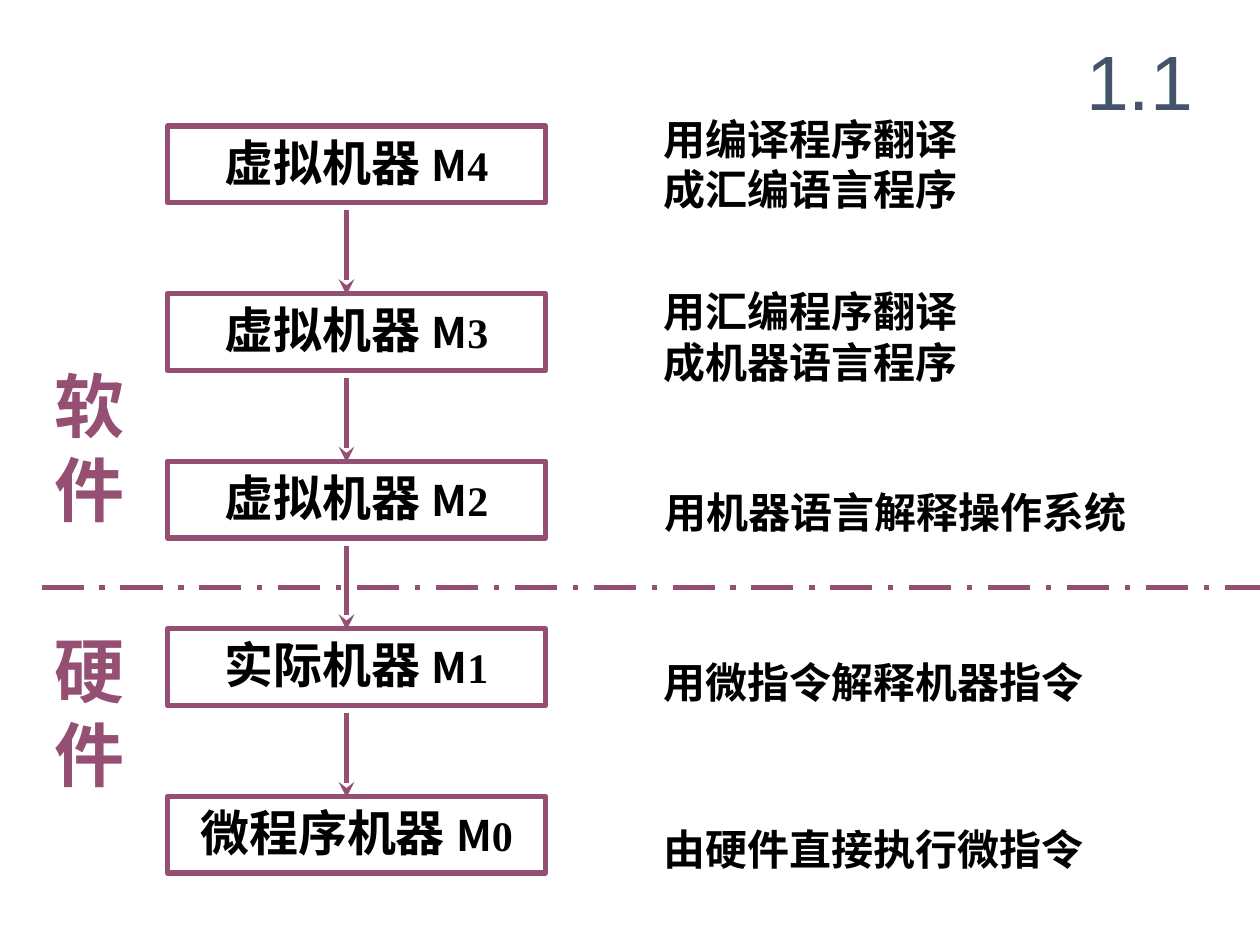
from lxml import etree
from pptx import Presentation
from pptx.dml.color import RGBColor
from pptx.enum.dml import MSO_LINE
from pptx.enum.shapes import MSO_CONNECTOR, MSO_SHAPE
from pptx.enum.text import MSO_ANCHOR, PP_ALIGN
from pptx.oxml.ns import qn
from pptx.util import Inches, Pt

RECTANGLE = MSO_SHAPE.RECTANGLE
STRAIGHT = MSO_CONNECTOR.STRAIGHT
DASH_DOT = MSO_LINE.LONG_DASH_DOT
CENTER = PP_ALIGN.CENTER
TOP = MSO_ANCHOR.TOP
MIDDLE = MSO_ANCHOR.MIDDLE

CHINESE = "Noto Sans CJK SC"
PLUM = "954F72"
BLACK = "000000"
SLATE = "44546A"

ROW_TOP = 1
ROW_STEP = 1.33
LEVEL_LEFT = 1.33
ARROW_X = 2.75
NOTE_LEFT = 5.16
SIDE_LEFT = 0.33

LEVELS = ["虚拟机器", "虚拟机器", "虚拟机器", "实际机器", "微程序机器"]
NOTES = [
    ("用编译程序翻译\n成汇编语言程序", 0.85, 2.55, 0.98),
    ("用汇编程序翻译\n成机器语言程序", 2.22, 2.55, 0.98),
    ("用机器语言解释操作系统", 3.81, 3.89, 0.5),
    ("用微指令解释机器指令", 5.16, 3.55, 0.5),
    ("由硬件直接执行微指令", 6.49, 3.55, 0.5),
]
SIDES = [("软\n件", 2.83), ("硬\n件", 4.93)]


def color(value):
    return RGBColor.from_string(value)


def format_span(span, size, ink, font=CHINESE, bold=True):
    span.font.size = Pt(size)
    span.font.name = font
    span.font.bold = bold
    span.font.color.rgb = color(ink)
    east_asian = etree.SubElement(span.font._element, qn("a:ea"))
    east_asian.set("typeface", font)


def add_text(page, text, area, size, ink, font=CHINESE, bold=True, anchor=TOP):
    box = page.shapes.add_textbox(*map(Inches, area))
    frame = box.text_frame
    frame.word_wrap = False
    frame.vertical_anchor = anchor
    frame.text = text
    for para in frame.paragraphs:
        para.alignment = CENTER
        for span in para.runs:
            format_span(span, size, ink, font, bold)


def add_level(page, name, number, top):
    area = (LEVEL_LEFT, top, 3, 0.61)
    box = page.shapes.add_shape(RECTANGLE, *map(Inches, area))
    box.shadow.inherit = False
    box.fill.background()
    box.line.color.rgb = color(PLUM)
    box.line.width = Pt(3)
    box.text_frame.word_wrap = True
    box.text_frame.vertical_anchor = TOP
    para = box.text_frame.paragraphs[0]
    para.alignment = CENTER
    parts = [
        (f"{name} ", 28, CHINESE),
        ("M", 24, CHINESE),
        (str(number), 24, "Times New Roman"),
    ]
    for text, size, font in parts:
        span = para.add_run()
        span.text = text
        format_span(span, size, BLACK, font)


def add_line(page, start, end):
    line = page.shapes.add_connector(STRAIGHT, *map(Inches, (*start, *end)))
    line.line.color.rgb = color(PLUM)
    line.line.width = Pt(3)
    etree.SubElement(line._element.spPr, qn("a:effectLst"))
    return line


def add_arrow(page, start, end):
    arrow = add_line(page, start, end)
    outline = arrow.line._get_or_add_ln()
    etree.SubElement(outline, qn("a:tailEnd")).set("type", "stealth")


def main():
    deck = Presentation()
    deck.slide_width = Inches(10)
    deck.slide_height = Inches(7.5)
    page = deck.slides.add_slide(deck.slide_layouts[6])

    for text, top, width, height in NOTES:
        add_text(page, text, (NOTE_LEFT, top, width, height), 24, BLACK)

    divider = add_line(page, (SIDE_LEFT, 4.66), (10, 4.66))
    divider.line.dash_style = DASH_DOT
    for text, top in SIDES:
        add_text(page, text, (SIDE_LEFT, top, 0.76, 1.57), 40, PLUM)
    add_text(page, "1.1", (8.42, 0.17, 1.25, 0.92), 44, SLATE, "Arial", False, MIDDLE)

    last = len(LEVELS) - 1
    for row, name in enumerate(LEVELS):
        add_level(page, name, last - row, ROW_TOP + row * ROW_STEP)
    for row in range(last):
        top = ROW_TOP + row * ROW_STEP + 0.67
        add_arrow(page, (ARROW_X, top), (ARROW_X, top + 0.67))

    deck.save("out.pptx")


if __name__ == "__main__":
    main()
